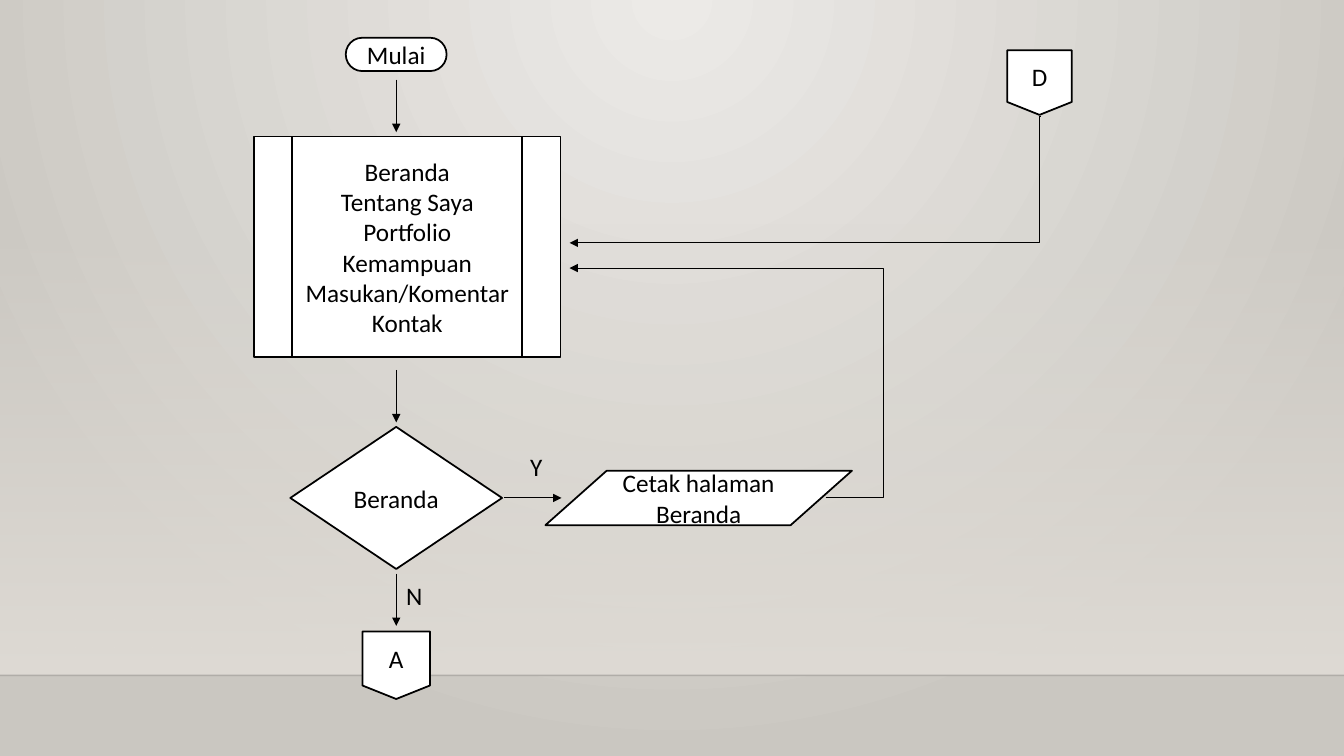
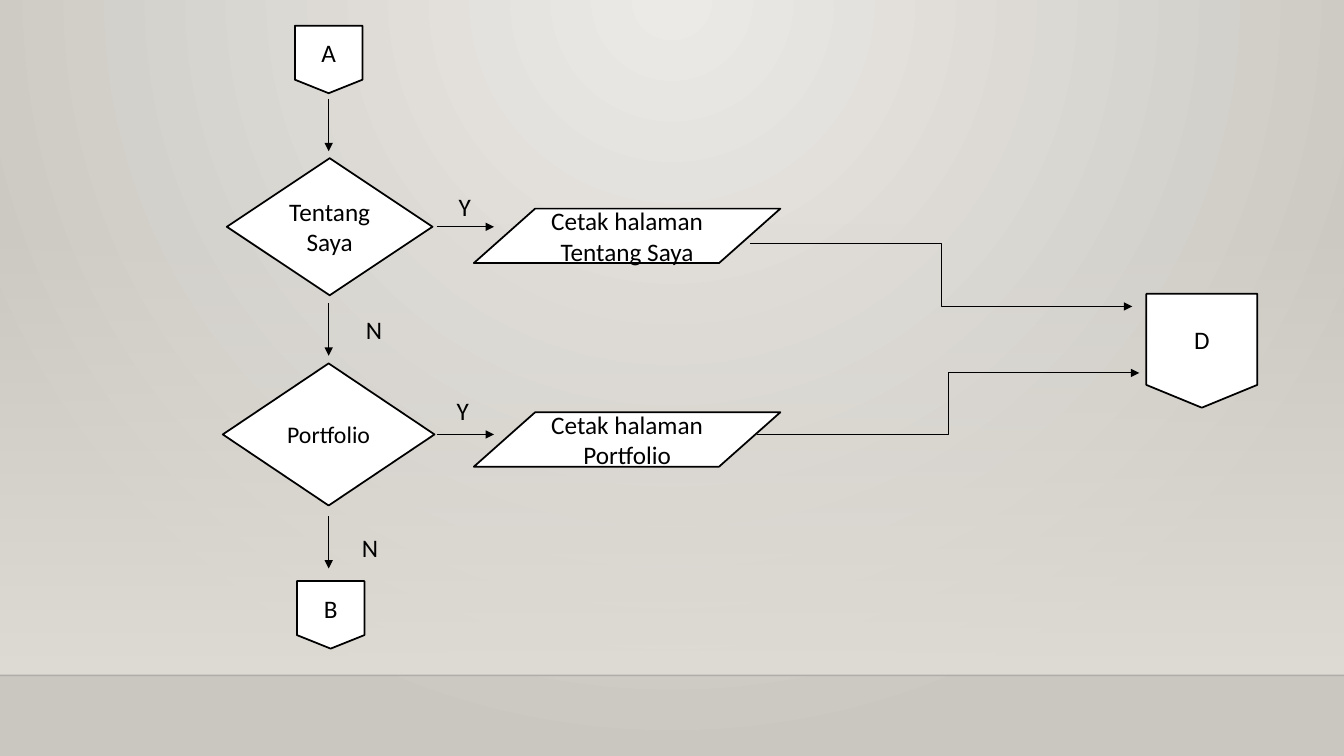
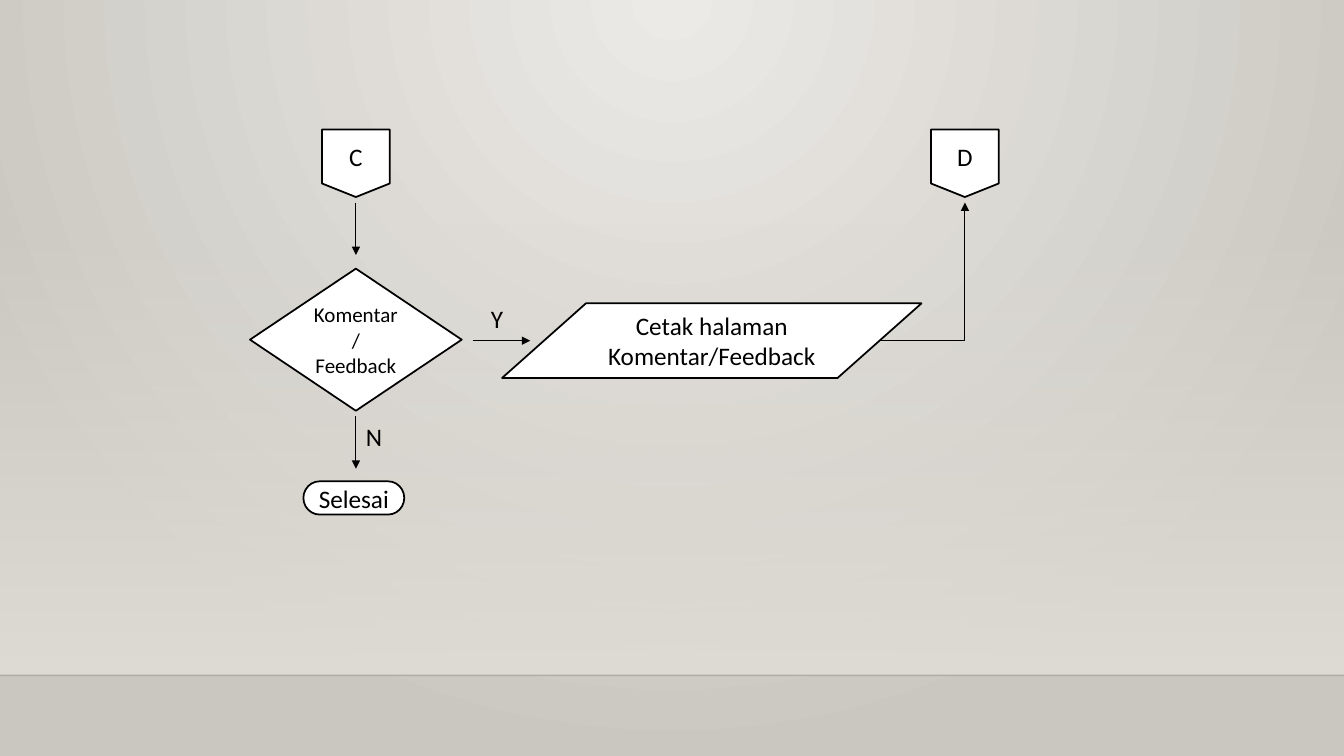
from lxml.etree import SubElement
from pptx import Presentation
from pptx.dml.color import RGBColor
from pptx.enum.shapes import MSO_CONNECTOR, MSO_SHAPE
from pptx.enum.text import MSO_ANCHOR, MSO_AUTO_SIZE, PP_ALIGN
from pptx.oxml.ns import qn
from pptx.util import Inches, Pt

BLACK = RGBColor(0x00, 0x00, 0x00)
WHITE = RGBColor(0xFF, 0xFF, 0xFF)
LIGHT = RGBColor(0xEC, 0xEA, 0xE7)
STONE = RGBColor(0xCA, 0xC7, 0xC1)
WALL = RGBColor(0xDF, 0xDB, 0xD5)
FONT = "Calibri"

COLUMNS, ROWS = 13.33, 7.5
FLOOR = 6.7
WALL_HEIGHT = 4.49
DOWN_STEP, RIGHT_STEP = 0.52, 0.57
CONNECTOR_SIDE = 0.67
TERMINATOR_SIZE = (1, 0.33)
DECISION_SIZE = (2.1, 1.41)
OUTPUT_SIZE = (3.04, 0.54)
LABEL_SIZE = (0.5, 0.4)


def grid(*cells):
    """Turn grid columns and rows, one inch each, into lengths."""
    return [Inches(cell) for cell in cells]


def add_child(parent, tag, **attributes):
    """Append a DrawingML element and return it."""
    return SubElement(parent, qn(tag), attributes)


def set_gradient(owner, stops):
    """Replace the first gradient in owner by the stops and return it."""
    gradient = next(owner.iter(qn("a:gradFill")))
    for child in list(gradient):
        gradient.remove(child)
    stop_list = add_child(gradient, "a:gsLst")
    for position, color, opacity in stops:
        stop = add_child(stop_list, "a:gs", pos=str(position * 1000))
        tone = add_child(stop, "a:srgbClr", val=str(color))
        if opacity < 100:
            add_child(tone, "a:alpha", val=str(opacity * 1000))
    return gradient


def write_text(frame, text, size=18, align=PP_ALIGN.CENTER, anchor=MSO_ANCHOR.MIDDLE):
    """Fill a text frame with one paragraph per line of text."""
    frame.word_wrap = True
    frame.vertical_anchor = anchor
    for number, line in enumerate(text.split("\n")):
        para = frame.add_paragraph() if number else frame.paragraphs[0]
        para.alignment = align
        span = para.add_run()
        span.text = line
        span.font.name = FONT
        span.font.size = Pt(size)
        span.font.color.rgb = BLACK


def add_node(page, kind, text, center, size, text_size=18):
    """Add a flowchart symbol around its center."""
    (x, y), (width, height) = center, size
    node = page.shapes.add_shape(kind, *grid(x - width / 2, y - height / 2, width, height))
    node.shadow.inherit = False
    node.fill.solid()
    node.fill.fore_color.rgb = WHITE
    node.line.color.rgb = BLACK
    node.line.width = Pt(1.25)
    write_text(node.text_frame, text, size=text_size)


def add_terminator(page, text, x, y):
    """Add a start or end symbol."""
    add_node(page, MSO_SHAPE.FLOWCHART_TERMINATOR, text, (x, y), TERMINATOR_SIZE)


def add_decision(page, text, x, y, size=DECISION_SIZE, text_size=18):
    """Add a decision diamond."""
    add_node(page, MSO_SHAPE.FLOWCHART_DECISION, text, (x, y), size, text_size)


def add_output(page, text, x, y, size=OUTPUT_SIZE):
    """Add an output parallelogram."""
    add_node(page, MSO_SHAPE.FLOWCHART_DATA, text, (x, y), size)


def add_reference(page, text, x, y, size=(CONNECTOR_SIDE, CONNECTOR_SIDE)):
    """Add an off-page connector."""
    add_node(page, MSO_SHAPE.FLOWCHART_OFFPAGE_CONNECTOR, text, (x, y), size)


def add_label(page, text, left, top):
    """Add the letter beside a branch."""
    box = page.shapes.add_textbox(*grid(left, top, *LABEL_SIZE))
    write_text(box.text_frame, text, align=PP_ALIGN.LEFT, anchor=MSO_ANCHOR.TOP)
    box.text_frame.auto_size = MSO_AUTO_SIZE.SHAPE_TO_FIT_TEXT


def add_line(page, start, end, kind=MSO_CONNECTOR.STRAIGHT, width=0.75):
    """Add a black connector without shadow."""
    line = page.shapes.add_connector(kind, *grid(*start, *end))
    line.line.color.rgb = BLACK
    line.line.width = Pt(width)
    add_child(line.element.spPr, "a:effectLst")
    return line


def add_arrow(page, start, end, kind=MSO_CONNECTOR.STRAIGHT):
    """Add a connector with an arrowhead at its end."""
    arrow = add_line(page, start, end, kind)
    add_child(arrow.get_or_add_ln(), "a:tailEnd", type="triangle")
    return arrow


def add_down(page, x, y):
    """Add a short arrow downwards."""
    add_arrow(page, (x, y), (x, y + DOWN_STEP))


def add_right(page, x, y):
    """Add a short arrow to the right."""
    add_arrow(page, (x, y), (x + RIGHT_STEP, y))


def add_elbow(page, start, end, bend=0.5):
    """Add an arrow that turns at a share of its width."""
    arrow = add_arrow(page, start, end, MSO_CONNECTOR.ELBOW)
    geometry = arrow.element.spPr.find(qn("a:prstGeom"))
    if bend == 1:
        geometry.set("prst", "bentConnector2")
    elif bend != 0.5:
        values = geometry.find(qn("a:avLst"))
        if values is None:
            values = add_child(geometry, "a:avLst")
        add_child(values, "a:gd", name="adj1", fmla=f"val {round(bend * 100000)}")


def style_master(deck, page):
    """Give the master its backdrop, wall and floor line."""
    master = deck.slide_master
    master.background.fill.gradient()
    backdrop = set_gradient(master.element.cSld, [(0, LIGHT, 100), (100, STONE, 100)])
    circle = add_child(backdrop, "a:path", path="circle")
    add_child(circle, "a:fillToRect", l="43000", r="43000", b="100000")

    wall = page.shapes.add_shape(
        MSO_SHAPE.RECTANGLE, *grid(0, FLOOR - WALL_HEIGHT, COLUMNS, WALL_HEIGHT))
    wall.shadow.inherit = False
    wall.line.fill.background()
    wall.fill.gradient()
    shade = set_gradient(wall.element.spPr, [(0, WALL, 0), (100, WALL, 100)])
    add_child(shade, "a:lin", ang="5400000", scaled="0")

    edge = add_line(page, (0, FLOOR), (COLUMNS, FLOOR), width=1)
    tone = next(edge.element.spPr.iter(qn("a:srgbClr")))
    add_child(tone, "a:alpha", val="20000")
    for position, part in enumerate((wall, edge), start=2):
        master.element.cSld.spTree.insert(position, part.element)


def build_home(page):
    """Draw the start, the menu and the home branch."""
    axis, branch = 3.93, 4.94
    menu = "Beranda\nTentang Saya\nPortfolio\nKemampuan\nMasukan/Komentar\nKontak"
    add_node(page, MSO_SHAPE.FLOWCHART_PREDEFINED_PROCESS, menu, (4.04, 2.45), (3.04, 2.19))
    add_terminator(page, "Mulai", axis, 0.54)
    add_decision(page, "Beranda", axis, branch)
    for top in (0.79, 3.67, 5.69):
        add_down(page, axis, top)
    add_right(page, 5, branch)
    add_output(page, "Cetak halaman Beranda", 6.93, branch)
    add_reference(page, "A", axis, 6.6)
    add_reference(page, "D", 10.31, 0.82, (0.64, 0.64))
    add_elbow(page, (10.32, 1.16), (5.65, 2.41), bend=0.002)
    add_elbow(page, (8.19, branch), (5.65, 2.66), bend=-0.224)
    add_label(page, "Y", 5.16, 4.43)
    add_label(page, "N", axis, 5.71)


def build_profile(page):
    """Draw the profile and portfolio branches."""
    axis = 3.26
    add_reference(page, "A", axis, 0.59)
    add_decision(page, "Tentang\u0020Saya", 3.27, 2.25, (2.04, 1.36))
    add_decision(page, "Portfolio", axis, 4.31, text_size=17)
    for top in (0.98, 3.01, 5.12):
        add_down(page, axis, top)
    for name, arrow_y, output_y, label_left, label_top in (
        ("Tentang Saya", 2.25, 2.34, 4.45, 1.85),
        ("Portfolio", 4.31, 4.36, 4.43, 3.87),
    ):
        add_right(page, 4.33, arrow_y)
        add_output(page, f"Cetak halaman {name}", 6.22, output_y)
        add_label(page, "Y", label_left, label_top)
    add_reference(page, "B", 3.28, 6.1)
    add_elbow(page, (7.51, 4.31), (11.3, 3.7))
    add_elbow(page, (7.44, 2.42), (11.23, 3.04))
    add_reference(page, "D", 11.92, 3.48, (1.1, 1.13))
    add_label(page, "N", 3.53, 3.07)
    add_label(page, "N", 3.49, 5.23)


def build_feedback(page):
    """Draw the feedback branch and the end."""
    axis, branch, back = 3.53, 3.38, 9.57
    add_reference(page, "C", axis, 1.62)
    add_decision(page, "Komentar/\nFeedback", axis, 3.37, text_size=15)
    add_output(page, "Cetak halaman Komentar/Feedback", 7.06, branch, (4.16, 0.74))
    add_right(page, 4.69, branch)
    add_reference(page, "D", back, 1.62)
    add_elbow(page, (8.72, branch), (back, 2.01), bend=1)
    for top in (2.01, 4.13):
        add_down(page, axis, top)
    add_label(page, "N", axis, 4.13)
    add_label(page, "Y", 4.77, 2.96)
    add_terminator(page, "Selesai", 3.51, 4.94)


def main():
    """Build the flowchart deck."""
    deck = Presentation()
    deck.slide_width, deck.slide_height = grid(COLUMNS, ROWS)
    blank = deck.slide_layouts[6]
    pages = [deck.slides.add_slide(blank) for _ in range(3)]
    style_master(deck, pages[0])
    for build, page in zip((build_home, build_profile, build_feedback), pages):
        build(page)
    deck.save("out.pptx")


main()
